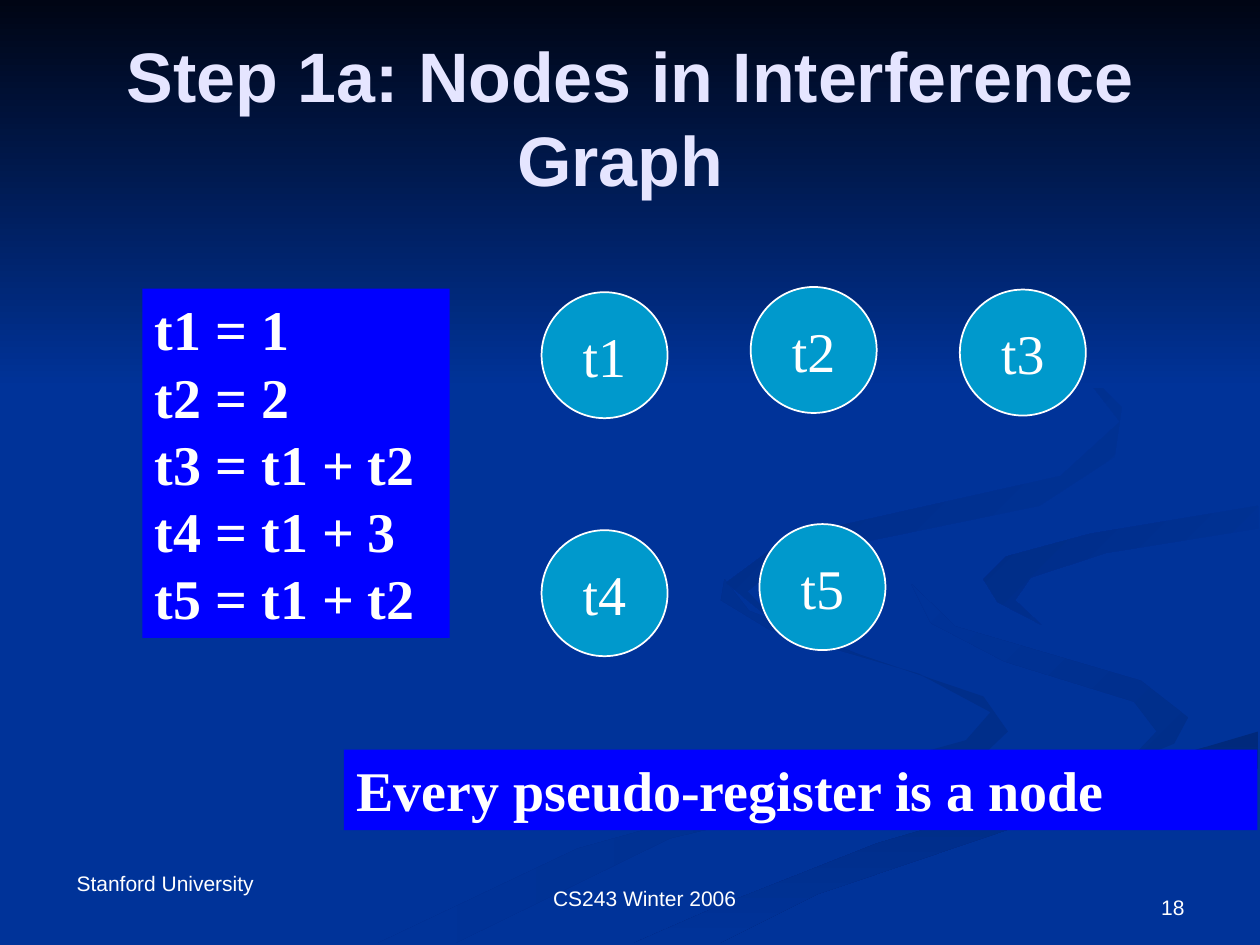
from pptx import Presentation
from pptx.dml.color import RGBColor
from pptx.enum.shapes import MSO_SHAPE as Shape
from pptx.enum.text import MSO_ANCHOR as Anchor, MSO_AUTO_SIZE as AutoSize, PP_ALIGN as Align
from pptx.util import Pt

WIDTH, HEIGHT = 720, 540
NAVY, BLUE, TEAL = "003399", "0000FF", "0099CC"
WHITE, LAVENDER = "FFFFFF", "E5E5FF"
SANS, SERIF = "Arial", "Times New Roman"

# Ribbons: first colour, last colour, clockwise angle, corners in points
RIBBONS = [
    ("002E8A", NAVY, 180, [
        (562, 398), (491, 374), (428, 349), (414, 331), (412, 343), (440, 360),
        (525, 385), (566, 407), (552, 423), (469, 446), (330, 485), (216, 539),
        (260, 539), (383, 479), (554, 439), (576, 418)]),
    ("002E8A", NAVY, 225, [
        (679, 410), (652, 389), (546, 358), (521, 334), (532, 356), (574, 378),
        (648, 401), (661, 418), (644, 436), (671, 425)]),
    ("00297C", NAVY, 90, [
        (362, 539), (411, 539), (467, 511), (591, 469), (719, 439), (719, 418),
        (624, 446), (501, 482), (410, 518)]),
    (NAVY, "002C85", 225, [
        (562, 331), (570, 344), (595, 357), (580, 343), (589, 330), (632, 316),
        (719, 302), (719, 289), (623, 305), (575, 318)]),
    (NAVY, "002B81", 225, [
        (492, 310), (594, 289), (637, 261), (641, 233), (607, 198), (549, 168),
        (609, 201), (640, 241), (606, 272), (450, 307), (415, 333), (448, 360),
        (427, 338), (449, 320)]),
]

CODE = ["t1 = 1", "t2 = 2", "t3 = t1 + t2", "t4 = t1 + 3", "t5 = t1 + t2"]

# Left and top of each node
NODES = {
    "t1": (309.5, 167), "t2": (429, 164), "t3": (548.5, 165.5),
    "t4": (309.5, 303), "t5": (434, 299.5),
}
NODE_SIZE = 72


def color(hex_code):
    return RGBColor.from_string(hex_code)


def fill_solid(shape, hex_code):
    shape.fill.solid()
    shape.fill.fore_color.rgb = color(hex_code)


def fill_gradient(shape, first, last, clockwise):
    shape.fill.gradient()
    shape.fill.gradient_angle = -clockwise % 360
    for stop, hex_code in zip(shape.fill.gradient_stops, (first, last)):
        stop.color.rgb = color(hex_code)


def write(shape, lines, size, font, hex_code=WHITE, bold=False,
          align=Align.LEFT, anchor=Anchor.TOP, wrap=True):
    frame = shape.text_frame
    frame.word_wrap = wrap
    frame.auto_size = AutoSize.NONE
    frame.vertical_anchor = anchor
    for index, line in enumerate(lines):
        paragraph = frame.add_paragraph() if index else frame.paragraphs[0]
        paragraph.alignment = align
        run = paragraph.add_run()
        run.text = line
        run.font.size = Pt(size)
        run.font.name = font
        run.font.bold = bold
        run.font.color.rgb = color(hex_code)


def add_ribbon(slide, first, last, clockwise, corners):
    builder = slide.shapes.build_freeform(*corners[0], scale=Pt(1))
    builder.add_line_segments(corners[1:], close=True)
    ribbon = builder.convert_to_shape()
    ribbon.shadow.inherit = False
    ribbon.line.fill.background()
    fill_gradient(ribbon, first, last, clockwise)


def add_preset(slide, preset, left, top, width, height):
    shape = slide.shapes.add_shape(preset, Pt(left), Pt(top), Pt(width), Pt(height))
    shape.shadow.inherit = False
    shape.line.fill.background()
    return shape


def add_backdrop(slide):
    fill_solid(slide.background, NAVY)
    for ribbon in RIBBONS:
        add_ribbon(slide, *ribbon)
    sky = add_preset(slide, Shape.RECTANGLE, 0, 0, WIDTH, 222)
    fill_gradient(sky, "000514", NAVY, 90)


def add_title(slide, text):
    title = slide.shapes.title
    title.left, title.top, title.width, title.height = Pt(36), Pt(21.6), Pt(648), Pt(90)
    write(title, [text], 40, SANS, LAVENDER, bold=True,
          align=Align.CENTER, anchor=Anchor.MIDDLE)
    # Bring the title in front of the backdrop
    slide.shapes.element.append(title.element)


def add_panel(slide, lines, left, top, width, height):
    panel = add_preset(slide, Shape.RECTANGLE, left, top, width, height)
    fill_solid(panel, BLUE)
    write(panel, lines, 32, SERIF, bold=True)


def add_node(slide, name, left, top):
    node = add_preset(slide, Shape.OVAL, left, top, NODE_SIZE, NODE_SIZE)
    fill_solid(node, TEAL)
    node.line.color.rgb = color(WHITE)
    node.line.width = Pt(1)
    write(node, [name], 32, SERIF, align=Align.CENTER, anchor=Anchor.MIDDLE, wrap=False)


def add_footer(slide, text, left, top, width, height, **layout):
    footer = slide.shapes.add_textbox(Pt(left), Pt(top), Pt(width), Pt(height))
    write(footer, [text], 12, SANS, **layout)


def main():
    deck = Presentation()
    deck.slide_width, deck.slide_height = Pt(WIDTH), Pt(HEIGHT)
    slide = deck.slides.add_slide(deck.slide_layouts.get_by_name("Title Only"))

    add_backdrop(slide)
    add_footer(slide, "CS243 Winter 2006", 309, 502.5, 119, 21.6, wrap=False)
    add_footer(slide, "Stanford University", 36.7, 494, 135.4, 21.6)
    add_title(slide, "Step 1a: Nodes in Interference Graph ")
    add_panel(slide, CODE, 81.4, 165, 175.6, 199.5)
    for name, (left, top) in NODES.items():
        add_node(slide, name, left, top)
    add_panel(slide, ["Every pseudo-register is a node"], 196.5, 428.4, 522, 46)
    add_footer(slide, "18", 516.2, 491.8, 167.8, 37.4,
               align=Align.RIGHT, anchor=Anchor.BOTTOM)

    deck.save("out.pptx")


if __name__ == "__main__":
    main()
